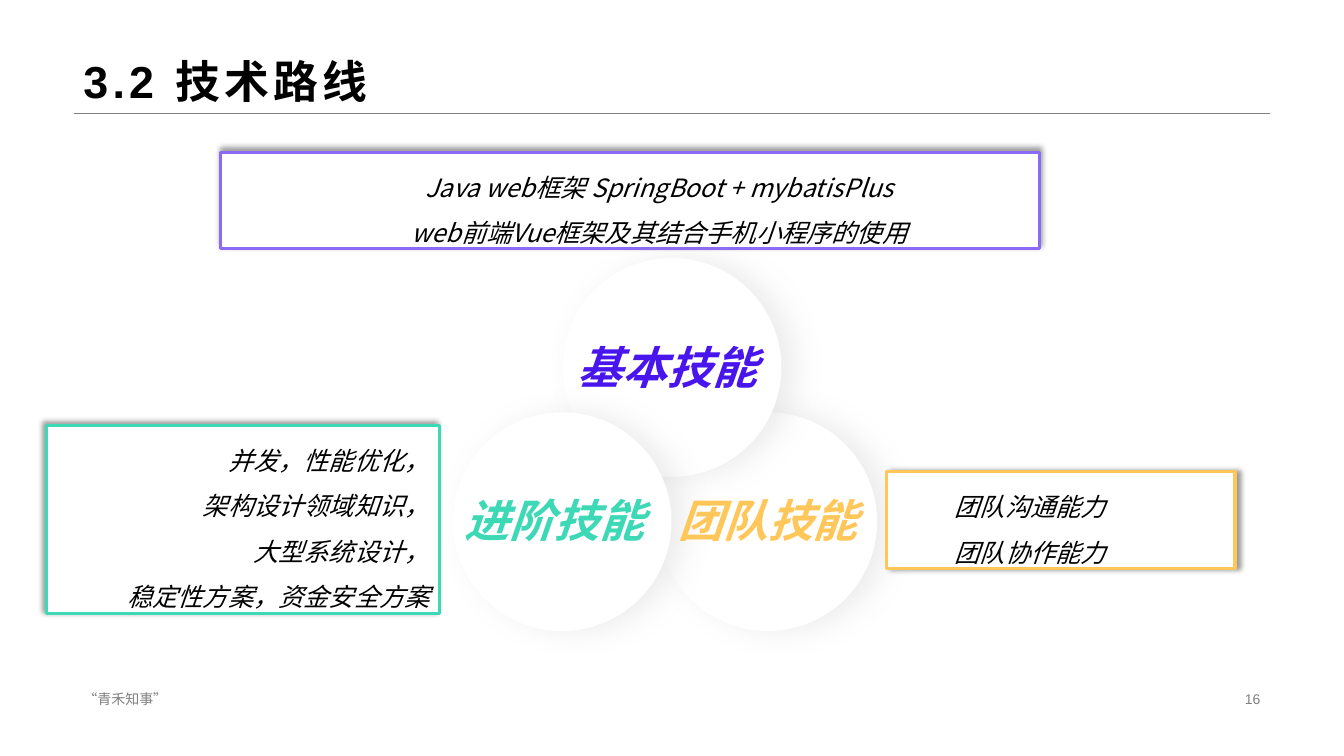
from lxml import etree
from pptx import Presentation
from pptx.dml.color import RGBColor
from pptx.enum.shapes import MSO_CONNECTOR, MSO_SHAPE
from pptx.enum.text import MSO_ANCHOR as ANCHOR, MSO_AUTO_SIZE as AUTO, PP_ALIGN as ALIGN
from pptx.oxml import parse_xml
from pptx.oxml.ns import nsdecls, qn
from pptx.util import Inches, Pt

BLACK = RGBColor(0x00, 0x00, 0x00)
WHITE = RGBColor(0xFF, 0xFF, 0xFF)
GRAY = RGBColor(0x80, 0x80, 0x80)
SHADE = RGBColor(0xA6, 0xA6, 0xA6)
PURPLE = RGBColor(0x8B, 0x6B, 0xF4)
INDIGO = RGBColor(0x48, 0x15, 0xED)
GREEN = RGBColor(0x3D, 0xD8, 0xB5)
YELLOW = RGBColor(0xFF, 0xC7, 0x59)

LATIN = "Arial"
CJK = "Noto Sans CJK SC"
CIRCLE = 2.17
INDENT = Inches(0.29)


def set_attrs(obj, values):
    for name, value in values.items():
        setattr(obj, name, value)


def add_run(p, text, font, color, **fmt):
    """Add a run with its Latin and East Asian fonts; fmt holds font attributes."""
    r = p.add_run()
    r.text = text
    set_attrs(r.font, {"name": font, **fmt})
    r.font.color.rgb = color
    ea = etree.SubElement(r.font._element, qn("a:ea"))
    ea.set("typeface", CJK)
    return r


def add_text(slide, box, text, color, frame, align=ALIGN.LEFT, **fmt):
    sp = slide.shapes.add_textbox(*map(Inches, box))
    tf = sp.text_frame
    set_attrs(tf, frame)
    p = tf.paragraphs[0]
    p.alignment = align
    return p, add_run(p, text, LATIN, color, **fmt)


def add_shadow(sp, color, alpha, blur, dist, angle):
    """Add an outer shadow: alpha in percent, blur and dist in points, angle in degrees."""
    sp._element.spPr.append(parse_xml(
        f'<a:effectLst {nsdecls("a")}>'
        f'<a:outerShdw blurRad="{Pt(blur)}" dist="{Pt(dist)}" dir="{angle * 60000}" '
        f'algn="ctr" rotWithShape="0"><a:srgbClr val="{color}">'
        f'<a:alpha val="{alpha * 1000}"/></a:srgbClr></a:outerShdw></a:effectLst>'))


def add_circle(slide, left, top):
    sp = slide.shapes.add_shape(MSO_SHAPE.OVAL, *map(Inches, (left, top, CIRCLE, CIRCLE)))
    sp.fill.solid()
    sp.fill.fore_color.rgb = WHITE
    sp.line.fill.background()
    add_shadow(sp, SHADE, 20, 20, 10, 0)


def add_skill_box(slide, box, color, angle, align, lines):
    sp = slide.shapes.add_shape(MSO_SHAPE.RECTANGLE, *map(Inches, box))
    sp.fill.solid()
    sp.fill.fore_color.rgb = WHITE
    sp.line.color.rgb = color
    sp.line.width = Pt(2.25)
    add_shadow(sp, BLACK, 40, 4, 3, angle)
    tf = sp.text_frame
    set_attrs(tf, {"word_wrap": True, "auto_size": AUTO.SHAPE_TO_FIT_TEXT,
                   "vertical_anchor": ANCHOR.TOP})
    for i, line in enumerate(lines):
        p = tf.add_paragraph() if i else tf.paragraphs[0]
        set_attrs(p, {"alignment": align, "line_spacing": 1.5})
        pPr = p._p.get_or_add_pPr()
        for name in ("marL", "indent"):
            pPr.set(name, str(INDENT))
        add_run(p, line, CJK, BLACK, size=Pt(18), italic=True)


def add_title(slide, text):
    p, r = add_text(slide, (0.73, 0, 11.87, 1.12), text, BLACK,
                    {"word_wrap": True, "vertical_anchor": ANCHOR.BOTTOM},
                    size=Pt(32), bold=True)
    p.line_spacing = 0.9
    r.font._element.set("spc", "300")


def add_rule(slide):
    line = slide.shapes.add_connector(
        MSO_CONNECTOR.STRAIGHT, *map(Inches, (0.73, 1.12, 12.6, 1.12)))
    line.line.color.rgb = GRAY
    line.line.width = Pt(0.25)
    etree.SubElement(line._element.spPr, qn("a:effectLst"))


def main():
    prs = Presentation()
    set_attrs(prs, {"slide_width": Inches(13.33), "slide_height": Inches(7.5)})
    slide = prs.slides.add_slide(prs.slide_layouts[6])

    add_rule(slide)
    add_title(slide, "3.2 技术路线")
    for left, width, text, align in ((9.42, 3.18, "16", ALIGN.RIGHT),
                                     (0.73, 4.53, "“青禾知事”", ALIGN.LEFT)):
        add_text(slide, (left, 6.82, width, 0.23), text, GRAY,
                 {"word_wrap": True, "vertical_anchor": ANCHOR.MIDDLE},
                 align, size=Pt(10))

    add_skill_box(slide, (2.19, 1.51, 8.12, 0.96), PURPLE, 270, ALIGN.CENTER,
                  ("Java web框架 SpringBoot + mybatisPlus",
                   "web前端Vue框架及其结合手机小程序的使用"))
    for left, top in ((6.53, 4.09), (5.58, 2.56), (4.49, 4.09)):
        add_circle(slide, left, top)
    for left, top, text, color in ((5.62, 3.32, "基本技能", INDIGO),
                                   (6.62, 4.84, "团队技能", YELLOW),
                                   (4.5, 4.84, "进阶技能", GREEN)):
        add_text(slide, (left, top, 2, 0.64), text, color,
                 {"word_wrap": False, "auto_size": AUTO.SHAPE_TO_FIT_TEXT},
                 ALIGN.CENTER, size=Pt(32), bold=True, italic=True)
    add_skill_box(slide, (0.46, 4.22, 3.9, 1.87), GREEN, 225, ALIGN.RIGHT,
                  ("并发，性能优化，", "架构设计领域知识，",
                   "大型系统设计，", "稳定性方案，资金安全方案"))
    add_skill_box(slide, (8.79, 4.68, 3.46, 0.96), YELLOW, 0, ALIGN.LEFT,
                  ("团队沟通能力", "团队协作能力"))

    prs.save("out.pptx")


if __name__ == "__main__":
    main()
